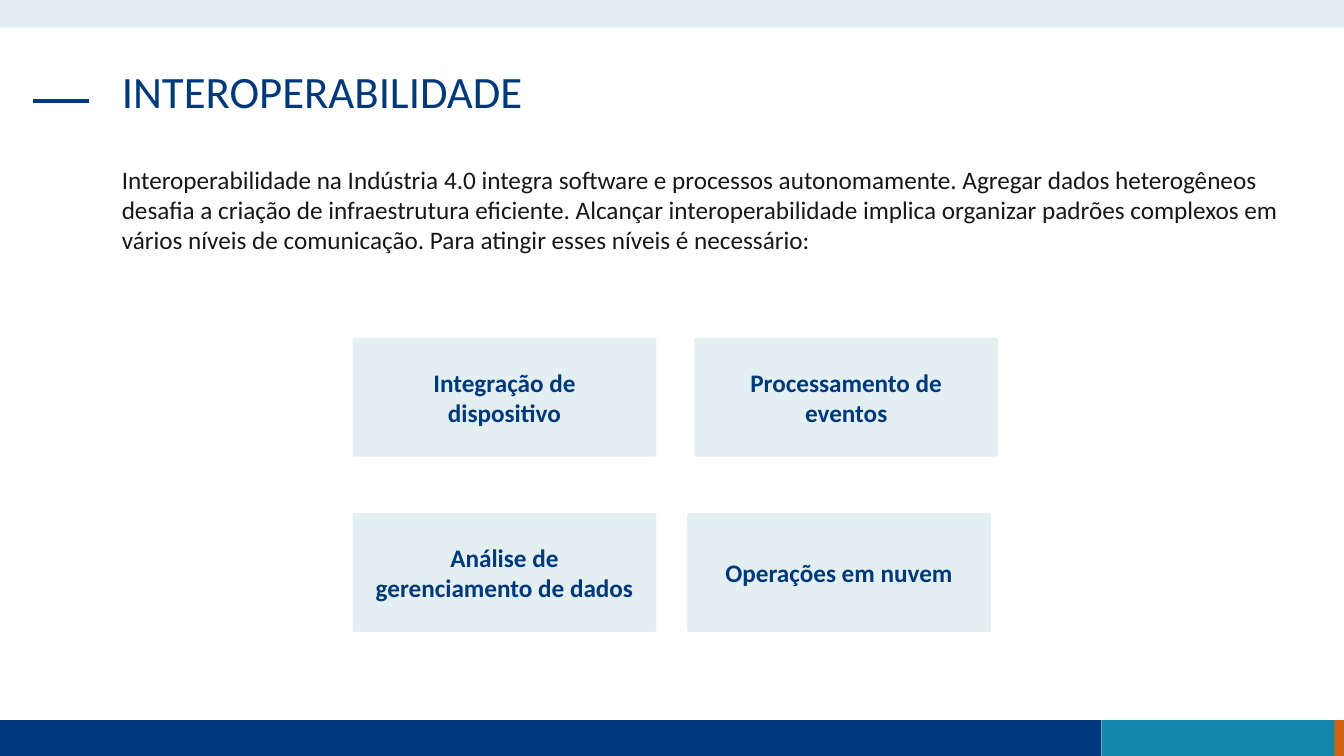
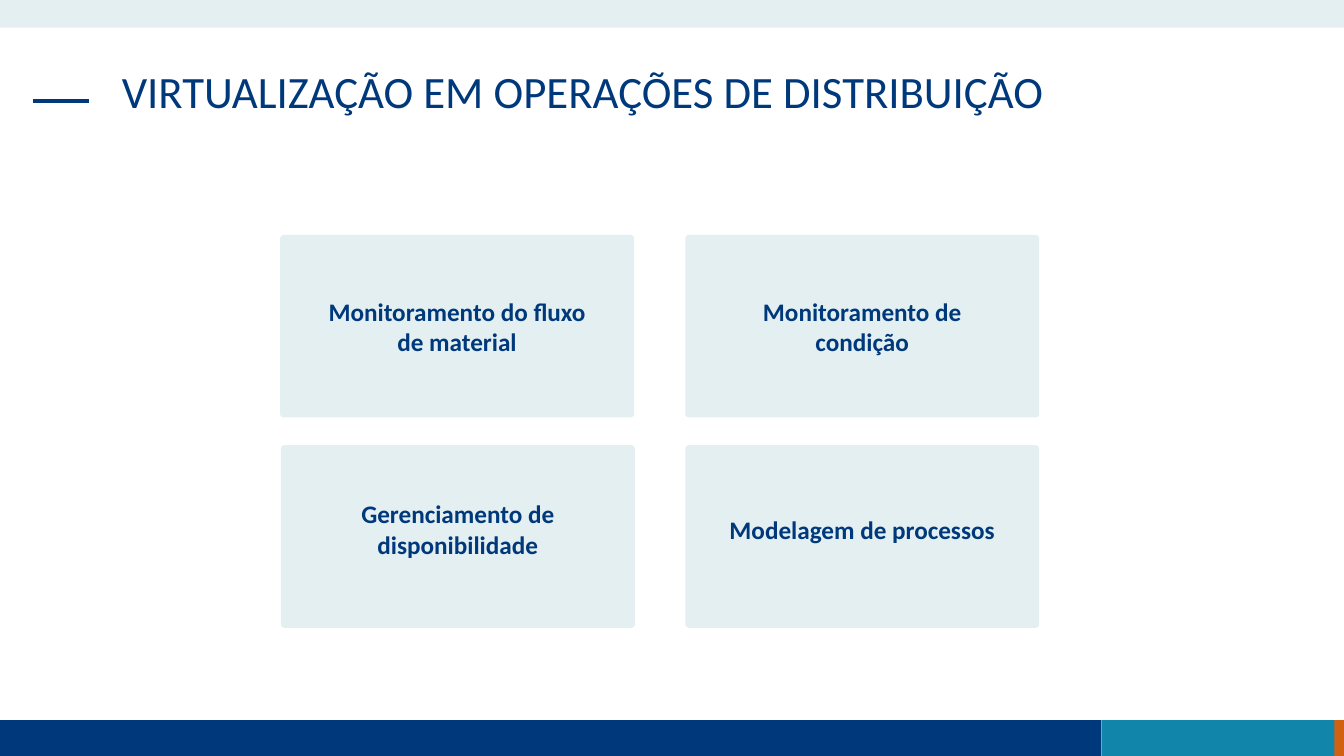
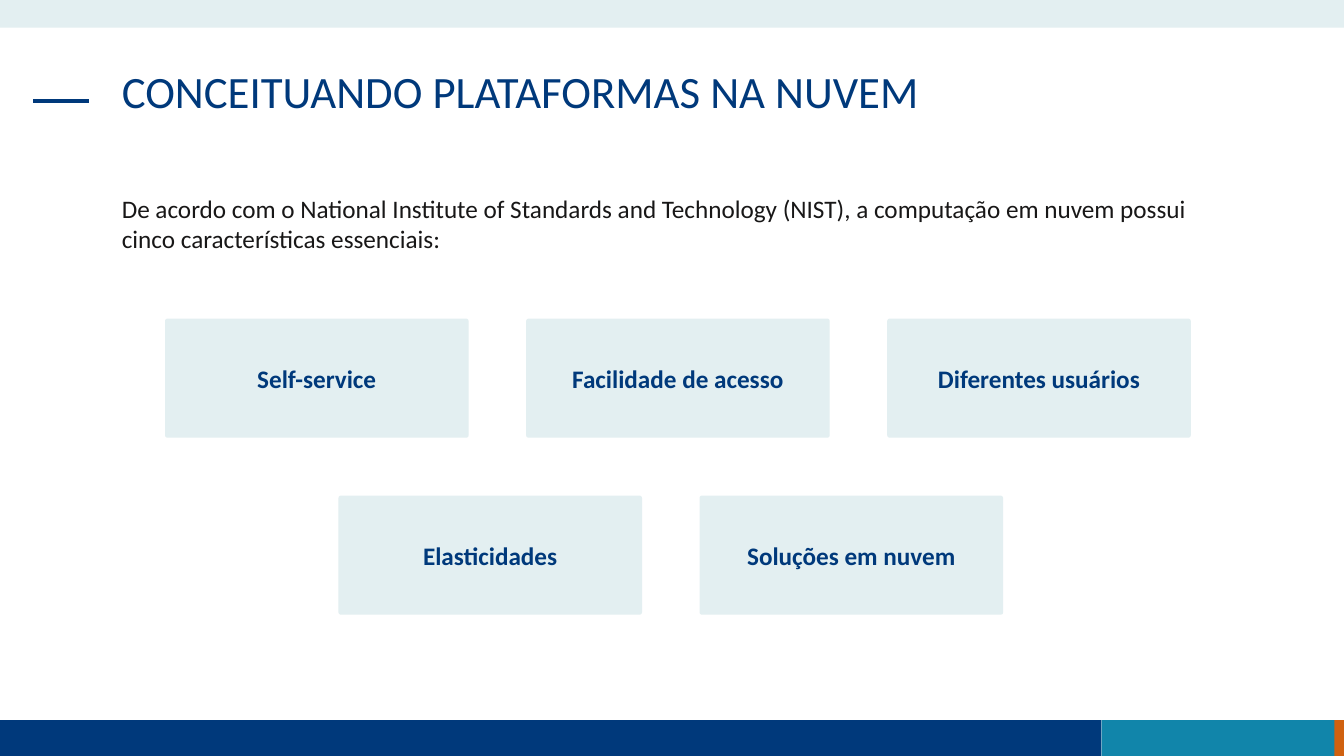
"""Build three slides on interoperability, virtualization and cloud platforms."""
import pptx
import pptx.dml.color
import pptx.enum.shapes
import pptx.enum.text
import pptx.oxml.ns
import pptx.util
import lxml.etree

Cm = pptx.util.Cm
Pt = pptx.util.Pt
SHAPE = pptx.enum.shapes.MSO_SHAPE
ANCHOR = pptx.enum.text.MSO_ANCHOR
ALIGN = pptx.enum.text.PP_ALIGN

FONT = "Calibri"
NAVY, TEAL, ORANGE, MIST, INK = "00397B", "1185AA", "D06110", "E3EFF1", "181717"
WIDTH, HEIGHT = 33.87, 19.05
TEXT_LEFT = 2.82
FOOTER_TOP, FOOTER_HEIGHT = 18.15, 0.9

BANDS = [
    (32.82, FOOTER_TOP, 1.05, FOOTER_HEIGHT, ORANGE),
    (0, FOOTER_TOP, 27.76, FOOTER_HEIGHT, NAVY),
    (27.76, FOOTER_TOP, 5.87, FOOTER_HEIGHT, TEAL),
    (0, 0, WIDTH, 0.7, MIST),
]

PAGES = [
    {
        "title": "INTEROPERABILIDADE",
        "intro": (4.01, 29.97, 2.57, "Interoperabilidade na Indústria 4.0 integra software e processos autonomamente. Agregar dados heterogêneos desafia a criação de infraestrutura eficiente. Alcançar interoperabilidade implica organizar padrões complexos em vários níveis de comunicação. Para atingir esses níveis é necessário:"),
        "card": (7.65, 3),
        "rows": [
            {"left": 8.89, "step": 8.61, "top": 8.51, "inset": 0.77, "lift": 0,
             "labels": ["Integração de dispositivo", "Processamento de eventos"]},
            {"left": 8.89, "step": 8.43, "top": 12.93, "inset": 0.4, "lift": 0,
             "labels": ["Análise de gerenciamento de dados", "Operações em nuvem"]},
        ],
    },
    {
        "title": "VIRTUALIZAÇÃO EM OPERAÇÕES DE DISTRIBUIÇÃO",
        "intro": None,
        "card": (8.92, 4.6),
        "rows": [
            {"left": 7.06, "step": 10.21, "top": 5.92, "inset": 0.84, "lift": 0,
             "labels": ["Monitoramento do fluxo de material", "Monitoramento de condição"]},
            {"left": 7.08, "step": 10.19, "top": 11.22, "inset": 0.84, "lift": 0.38,
             "labels": ["Gerenciamento de disponibilidade", "Modelagem de processos"]},
        ],
    },
    {
        "title": "CONCEITUANDO PLATAFORMAS NA NUVEM",
        "intro": (4.75, 28.19, 1.8, "De acordo com o National Institute of Standards and Technology (NIST), a computação em nuvem possui cinco características essenciais:"),
        "card": (7.65, 3),
        "rows": [
            {"left": 4.16, "step": 9.1, "top": 8.03, "inset": 0.5, "lift": 0,
             "labels": ["Self-service", "Facilidade de acesso", "Diferentes usuários"]},
            {"left": 8.53, "step": 9.1, "top": 12.49, "inset": 0.5, "lift": 0,
             "labels": ["Elasticidades", "Soluções em nuvem"]},
        ],
    },
]


def paint(target, color):
    """Give a fill or line format one solid hex colour."""
    target.solid()
    target.fore_color.rgb = pptx.dml.color.RGBColor.from_string(color)


def write(box, text, size, color, bold=False, align=ALIGN.LEFT, anchor=ANCHOR.TOP):
    """Set one styled paragraph in a box and return it."""
    frame = box.text_frame
    frame.word_wrap = True
    frame.vertical_anchor = anchor
    paragraph = frame.paragraphs[0]
    paragraph.text = text
    paragraph.alignment = align
    paragraph.font.name = FONT
    paragraph.font.size = Pt(size)
    paragraph.font.bold = bold
    paint(paragraph.font.fill, color)
    return paragraph


deck = pptx.Presentation()
deck.slide_width, deck.slide_height = Cm(WIDTH), Cm(HEIGHT)

for content in PAGES:
    page = deck.slides.add_slide(deck.slide_layouts[6])

    for left, top, width, height, color in BANDS:
        band = page.shapes.add_shape(SHAPE.RECTANGLE, Cm(left), Cm(top), Cm(width), Cm(height))
        band.shadow.inherit = False
        band.line.fill.background()
        paint(band.fill, color)

    dash = page.shapes.add_connector(
        pptx.enum.shapes.MSO_CONNECTOR.STRAIGHT, Cm(0.84), Cm(2.54), Cm(2.24), Cm(2.54))
    dash.line.width = Pt(3)
    paint(dash.line.fill, NAVY)
    lxml.etree.SubElement(dash.element.spPr, pptx.oxml.ns.qn("a:effectLst"))

    title = page.shapes.add_textbox(Cm(TEXT_LEFT), Cm(1.63), Cm(28.19), Cm(2.38))
    write(title, content["title"], 32, NAVY).line_spacing = 0.9

    if content["intro"]:
        top, width, height, text = content["intro"]
        intro = page.shapes.add_textbox(Cm(TEXT_LEFT), Cm(top), Cm(width), Cm(height))
        write(intro, text, 18, INK)

    width, height = content["card"]
    for row in content["rows"]:
        for column, label in enumerate(row["labels"]):
            left = row["left"] + column * row["step"]
            card = page.shapes.add_shape(
                SHAPE.ROUNDED_RECTANGLE, Cm(left), Cm(row["top"]), Cm(width), Cm(height))
            card.adjustments[0] = 0.02
            card.shadow.inherit = False
            card.line.fill.background()
            paint(card.fill, MIST)
            frame = card.text_frame
            frame.margin_left = frame.margin_right = Cm(row["inset"])
            frame.margin_top, frame.margin_bottom = Cm(0), Cm(row["lift"])
            write(card, label, 18, NAVY, True, ALIGN.CENTER, ANCHOR.MIDDLE)

deck.save("out.pptx")
